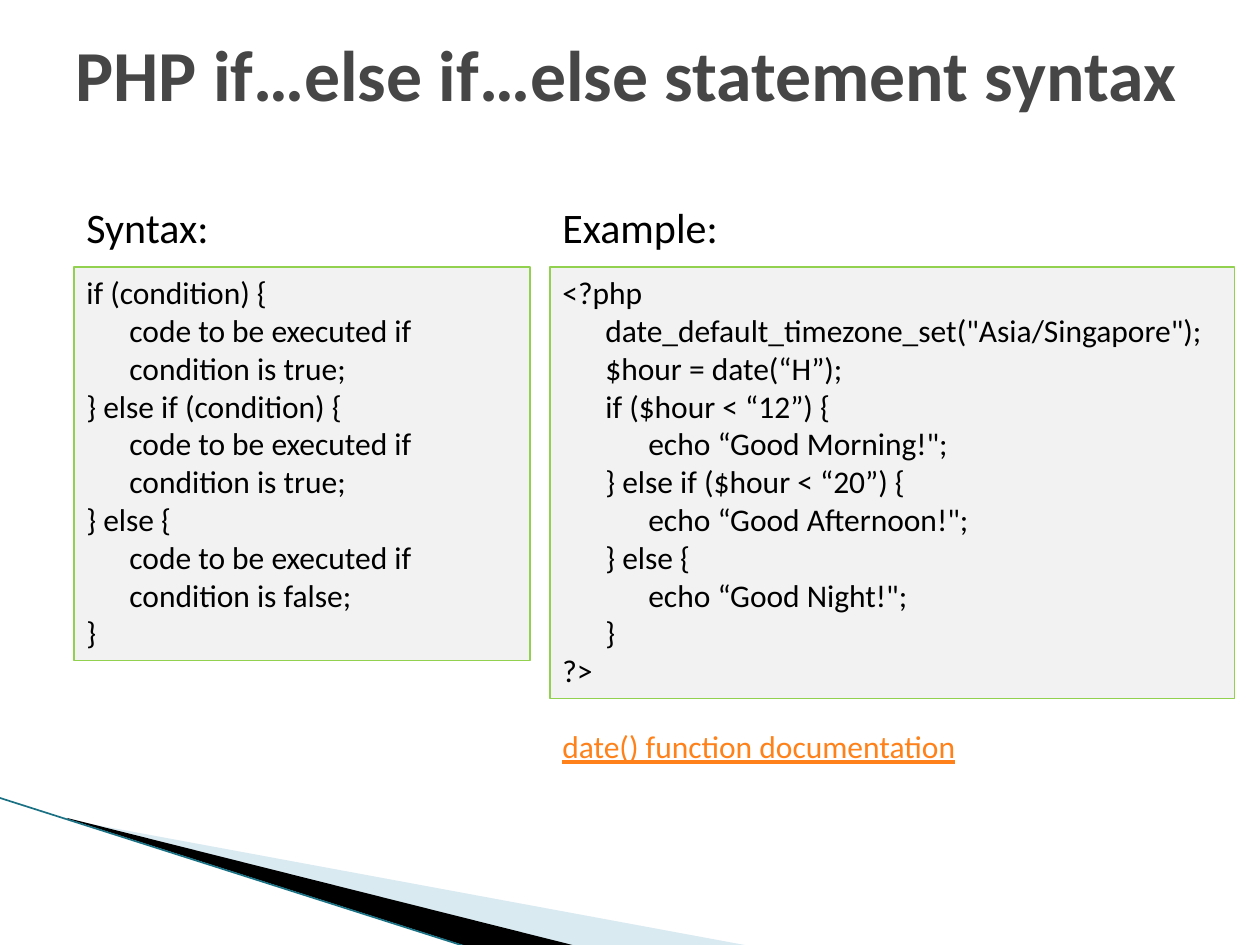
from pptx import Presentation, util as u
from pptx.dml.color import RGBColor
from pptx.enum import shapes, text
from pptx.oxml.ns import qn
from lxml import etree

PX = 914400 // 126
STEP = 43  # one level of code indent


def px(n):
    return u.Emu(n * PX)


def rgb(code):
    return RGBColor.from_string(code)


def sub(node, tag, **attrs):
    return etree.SubElement(node, qn(tag), attrs)


def write(shape, lines, size=18, color="000000", bold=False, under=False,
          wrap=True, inset=None):
    """Fill a shape with (level, text) lines."""
    frame = shape.text_frame
    frame.word_wrap = wrap
    frame.vertical_anchor = text.MSO_ANCHOR.TOP
    if inset is not None:
        frame.margin_top = px(inset)
    for i, (level, line) in enumerate(lines):
        para = frame.paragraphs[0] if i == 0 else frame.add_paragraph()
        para.alignment = text.PP_ALIGN.LEFT
        if level:
            props = para._p.get_or_add_pPr()
            props.set("marL", str(px(level * STEP)))
            props.set("indent", "0")
        run = para.add_run()
        run.text = line
        font = run.font
        font.name, font.size, font.bold = "Calibri", u.Pt(size), bold
        font.underline = under
        font.color.rgb = rgb(color)


def label(slide, box, line, **fmt):
    area = slide.shapes.add_textbox(*map(px, box))
    write(area, [(0, line)], **fmt)


def panel(slide, box, lines, fill="F2F2F2", edge="92D050", **fmt):
    rect = slide.shapes.add_shape(shapes.MSO_SHAPE.RECTANGLE, *map(px, box))
    rect.shadow.inherit = False
    rect.fill.solid()
    rect.fill.fore_color.rgb = rgb(fill)
    if edge:
        rect.line.color.rgb = rgb(edge)
        rect.line.width = u.Pt(0.75)
    else:
        rect.line.fill.background()
    write(rect, lines, **fmt)


def column(slide, box, head, lines):
    """A heading with its code panel below."""
    x, y, w, h = box
    label(slide, (x, y, 183, 63), head, size=24, wrap=False)
    panel(slide, (x, y + 72, w, h - 72), lines)


def wedge(slide, x, y, points, color, alpha=None):
    first, *rest = [(x + dx, y + dy) for dx, dy in points]
    pen = slide.shapes.build_freeform(*first, scale=PX)
    pen.add_line_segments(rest, close=True)
    form = pen.convert_to_shape()
    form.shadow.inherit = False
    form.fill.solid()
    form.fill.fore_color.rgb = rgb(color)
    form.line.fill.background()
    if alpha:
        tint = form._element.spPr.find(".//" + qn("a:srgbClr"))
        sub(tint, "a:alpha", val=str(alpha * 1000))


def corner(slide, x, y):
    """Swoosh in the lower left corner."""
    wedge(slide, x, y, [(69, 22), (750, 148), (575, 148), (69, 21)],
          "A0CBDC", 40)
    wedge(slide, x, y, [(67, 20), (576, 148), (469, 149), (68, 21)], "000000")
    rim = slide.shapes.add_connector(
        shapes.MSO_CONNECTOR.STRAIGHT,
        px(x), px(y), px(x + 467), px(y + 149))
    rim.line.color.rgb = rgb("1A7184")
    rim.line.width = u.Pt(0.95)
    sub(rim._element.spPr, "a:effectLst")


SYNTAX = [
    (0, "if (condition) {"),
    (1, "code to be executed if"),
    (1, "condition is true;"),
    (0, "} else if (condition) {"),
    (1, "code to be executed if"),
    (1, "condition is true;"),
    (0, "} else {"),
    (1, "code to be executed if"),
    (1, "condition is false;"),
    (0, "}"),
]
EXAMPLE = [
    (0, "<?php"),
    (1, 'date_default_timezone_set("Asia/Singapore");'),
    (1, "$hour = date(“H”);"),
    (1, "if ($hour < “12”) {"),
    (2, 'echo “Good Morning!";'),
    (1, "} else if ($hour < “20”) {"),
    (2, 'echo “Good Afternoon!";'),
    (1, "} else {"),
    (2, 'echo “Good Night!";'),
    (1, "}"),
    (0, "?>"),
]

deck = Presentation()
deck.slide_width, deck.slide_height = px(1260), px(945)
page = deck.slides.add_slide(deck.slide_layouts[6])

corner(page, 0, 798)
label(page, (63, 30, 1134, 157), "PHP if…else if…else statement syntax",
      size=41, color="464646", bold=True, wrap=False, inset=0)
column(page, (74, 195, 456, 466), "Syntax:", SYNTAX)
column(page, (550, 195, 685, 504), "Example:", EXAMPLE)
panel(page, (550, 721, 456, 50), [(0, "date() function documentation")],
      fill="FFFFFF", edge=None, color="FF8119", under=True)

deck.save("out.pptx")
